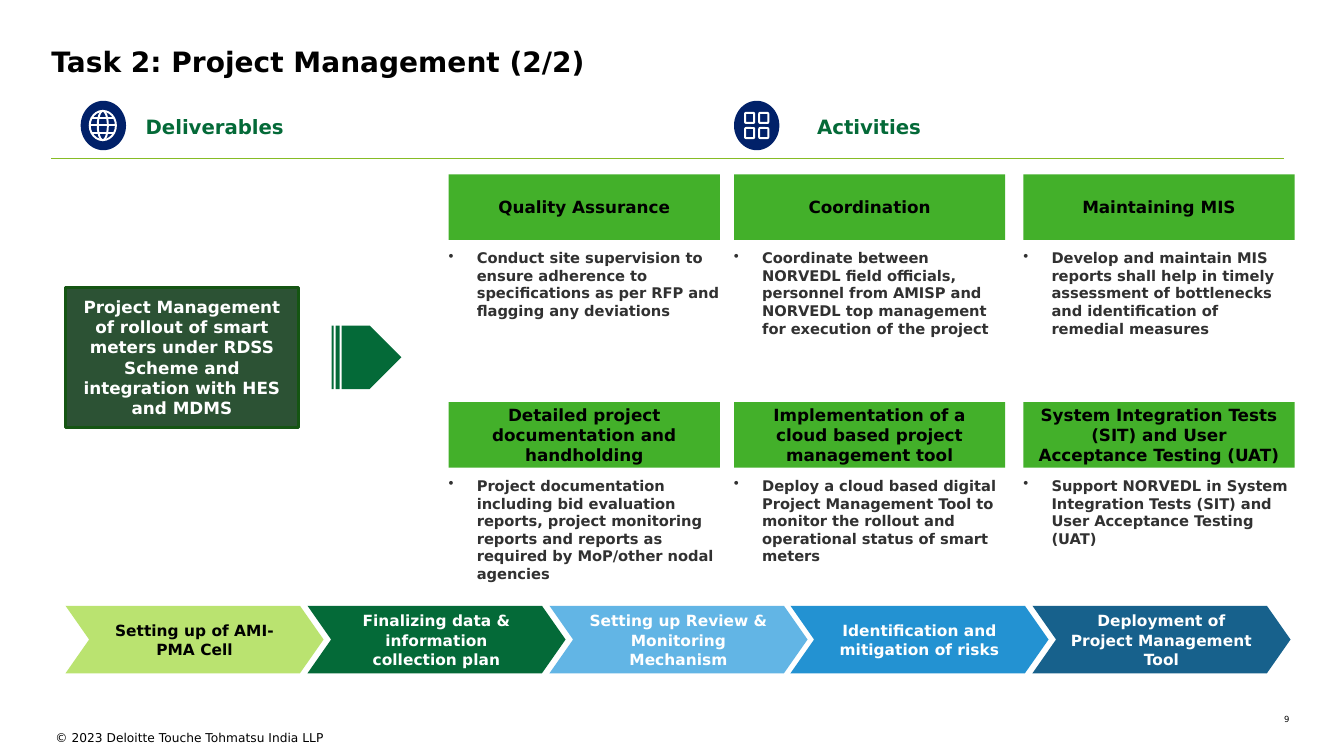
import dataclasses

import pptx
import pptx.dml.color
import pptx.enum.shapes
import pptx.enum.text
import pptx.oxml
import pptx.oxml.ns
import pptx.util
from lxml import etree

PX = 9144
SHAPE = pptx.enum.shapes.MSO_SHAPE
ALIGN = pptx.enum.text.PP_ALIGN
ANCHOR = pptx.enum.text.MSO_ANCHOR


@dataclasses.dataclass(frozen=True)
class Theme:
    """Colours, font and type sizes of the slide."""
    font: str = "DejaVu Sans"
    black: str = "000000"
    white: str = "FFFFFF"
    body: str = "313131"
    heading: str = "046A38"
    rule: str = "86BC25"
    card: str = "43B02A"
    scope: str = "2C5234"
    scope_edge: str = "155513"
    icon: str = "012169"
    title_pt: float = 20
    heading_pt: float = 14.1
    card_pt: float = 12
    body_pt: float = 10.5
    step_pt: float = 11
    footer_pt: float = 8.7
    number_pt: float = 6


THEME = Theme()

ACTIVITIES = [
    [("Quality Assurance",
      "Conduct site supervision to ensure adherence to specifications as per RFP "
      "and flagging any deviations"),
     ("Coordination",
      "Coordinate between NORVEDL field officials, personnel from AMISP and "
      "NORVEDL top management for execution of the project"),
     ("Maintaining MIS",
      "Develop and maintain MIS reports shall help in timely assessment of "
      "bottlenecks and identification of remedial measures")],
    [("Detailed project documentation and handholding",
      "Project documentation including bid evaluation reports, project monitoring "
      "reports and reports as required by MoP/other nodal agencies"),
     ("Implementation of a cloud based project management tool",
      "Deploy a cloud based digital Project Management Tool to monitor the rollout "
      "and operational status of smart meters"),
     ("System Integration Tests (SIT) and User Acceptance Testing (UAT)",
      "Support NORVEDL in System Integration Tests (SIT) and User Acceptance "
      "Testing (UAT)")],
]

STEPS = [
    ("Setting up of AMI-PMA Cell", "BAE370", THEME.black),
    ("Finalizing data & information collection plan", "046A38", THEME.white),
    ("Setting up Review & Monitoring Mechanism", "62B5E5", THEME.white),
    ("Identification and mitigation of risks", "2392D2", THEME.white),
    ("Deployment of Project Management Tool", "17618C", THEME.white),
]


def emu(*lengths):
    """Turn px lengths into EMU."""
    return [pptx.util.Emu(round(length * PX)) for length in lengths]


def rgb(colour):
    """Return the colour object of a hex string."""
    return pptx.dml.color.RGBColor.from_string(colour)


def write(holder, text, size, colour, bold=True, align=ALIGN.LEFT,
          anchor=ANCHOR.TOP, inset=(0, 0), spacing=None, bullet=False):
    """Fill a shape or text box with one styled paragraph."""
    frame = holder.text_frame
    frame.word_wrap = True
    frame.vertical_anchor = anchor
    frame.margin_left, frame.margin_top = emu(*inset)
    frame.margin_right, frame.margin_bottom = emu(*inset)
    frame.text = text
    paragraph = frame.paragraphs[0]
    if bullet:
        properties = paragraph._p.get_or_add_pPr()
        indent = emu(28)[0]
        properties.set("marL", str(indent))
        properties.set("indent", str(-indent))
        mark = etree.SubElement(properties, pptx.oxml.ns.qn("a:buChar"))
        mark.set("char", "•")
    paragraph.alignment = align
    if spacing:
        paragraph.line_spacing = spacing
    font = paragraph.runs[0].font
    font.name, font.size, font.bold = THEME.font, pptx.util.Pt(size), bold
    font.color.rgb = rgb(colour)


def add_label(slide, box, text, size, colour, **style):
    """Add a text box with one styled paragraph."""
    write(slide.shapes.add_textbox(*emu(*box)), text, size, colour, **style)


def add_panel(slide, kind, box, fill=None, edge=None, width=1):
    """Add a flat preset shape with an optional fill and outline."""
    panel = slide.shapes.add_shape(kind, *emu(*box))
    panel.shadow.inherit = False
    if fill:
        panel.fill.solid()
        panel.fill.fore_color.rgb = rgb(fill)
    else:
        panel.fill.background()
    if edge:
        panel.line.color.rgb = rgb(edge)
        panel.line.width = pptx.util.Pt(width)
    else:
        panel.line.fill.background()
    return panel


def add_rule(slide, start, end, colour, width):
    """Add a straight line between two points."""
    rule = slide.shapes.add_connector(
        pptx.enum.shapes.MSO_CONNECTOR.STRAIGHT, *emu(*start, *end))
    rule.line.color.rgb = rgb(colour)
    rule.line.width = pptx.util.Pt(width)
    etree.SubElement(rule._element.spPr, pptx.oxml.ns.qn("a:effectLst"))


def add_globe_icon(slide, box):
    """Draw a white globe on a dark disc."""
    left, top, width, height = box
    middle, equator = left + width // 2, top + height // 2
    add_panel(slide, SHAPE.OVAL, box, THEME.icon)
    for half in (13, 5):
        meridian = (middle - half, equator - 14, 2 * half, 29)
        add_panel(slide, SHAPE.OVAL, meridian, edge=THEME.white, width=1.4)
    for offset, half in ((-7, 11), (0, 13), (8, 11)):
        y = equator + offset
        add_rule(slide, (middle - half, y), (middle + half, y), THEME.white, 1.4)


def add_grid_icon(slide, box):
    """Draw four white tiles on a dark disc."""
    left, top, _, _ = box
    add_panel(slide, SHAPE.OVAL, box, THEME.icon)
    for x in (11, 25):
        for y in (12, 27):
            tile = add_panel(slide, SHAPE.ROUNDED_RECTANGLE,
                             (left + x, top + y, 9, 10), edge=THEME.white, width=1.4)
            tile.adjustments[0] = 0.1


def add_header(slide, box):
    """Place the title, both column headings and the rule below them."""
    left, top, width, height = box
    add_label(slide, (left, top, width, 37), "Task 2: Project Management (2/2)",
              THEME.title_pt, THEME.black)
    add_globe_icon(slide, (left + 29, top + 56, 45, 49))
    add_grid_icon(slide, (left + 677, top + 56, 45, 49))
    for text, x, span in (("Deliverables", 79, 166), ("Activities", 673, 276)):
        add_label(slide, (left + x, top + 61, span, 39), text, THEME.heading_pt,
                  THEME.heading, align=ALIGN.CENTER, anchor=ANCHOR.MIDDLE,
                  inset=(11, 11), spacing=1.06)
    bottom = top + height
    add_rule(slide, (left, bottom), (left + 1222, bottom), THEME.rule, 0.75)


def add_scope(slide, box):
    """Place the deliverable and the arrow that leads to the activities."""
    left, top, width, height = box
    deliverable = add_panel(slide, SHAPE.RECTANGLE, (left, top, 231, height),
                            THEME.scope, THEME.scope_edge, 2)
    write(deliverable, "Project Management of rollout of smart meters under RDSS "
          "Scheme and integration with HES and MDMS", THEME.card_pt, THEME.white,
          align=ALIGN.CENTER, anchor=ANCHOR.MIDDLE, inset=(11, 6))
    arrow = add_panel(slide, SHAPE.STRIPED_RIGHT_ARROW,
                      (left + width - 69, top + 38, 69, 63), THEME.heading)
    arrow.adjustments[0], arrow.adjustments[1] = 1, 0.5


def add_activity(slide, box, heading, detail):
    """Place one activity: a green heading above its bullet."""
    left, top, width, height = box
    banner = add_panel(slide, SHAPE.RECTANGLE, (left, top, width, 65), THEME.card)
    write(banner, heading, THEME.card_pt, THEME.black, align=ALIGN.CENTER,
          anchor=ANCHOR.MIDDLE, inset=(11, 6))
    add_label(slide, (left, top + 74, width + 1, height - 74), detail,
              THEME.body_pt, THEME.body, bullet=True)


def add_activities(slide, box):
    """Lay out the activities in rows and columns."""
    left, top, _, height = box
    for row, activities in enumerate(ACTIVITIES):
        for x, (heading, detail) in zip((0, 283, 570), activities):
            add_activity(slide, (left + x, top + row * 226, 269, height - 226),
                         heading, detail)


def add_steps(slide, box):
    """Spread the chevrons of the process evenly over the box."""
    left, top, width, height = box
    span = 256
    pitch = (width - span) / (len(STEPS) - 1)
    for index, (text, fill, colour) in enumerate(STEPS):
        step = add_panel(slide, SHAPE.CHEVRON,
                         (left + round(index * pitch), top, span, height), fill)
        step.adjustments[0] = 0.35
        write(step, text, THEME.step_pt, colour, align=ALIGN.CENTER,
              anchor=ANCHOR.MIDDLE, inset=(10, 10), spacing=1.06)


def add_footer(slide, box):
    """Place the copyright line and the page number."""
    left, top, width, _ = box
    add_label(slide, (left, top + 17, 586, 22),
              "© 2023 Deloitte Touche Tohmatsu India LLP",
              THEME.footer_pt, THEME.black, bold=False)
    add_label(slide, (left + width - 34, top, 34, 11), "9", THEME.number_pt,
              THEME.black, bold=False, align=ALIGN.RIGHT)


def main():
    """Build the slide and save it."""
    deck = pptx.Presentation()
    deck.slide_width, deck.slide_height = emu(1333, 750)
    slide = deck.slides.add_slide(deck.slide_layouts[6])
    add_header(slide, (51, 44, 1231, 113))
    add_scope(slide, (65, 285, 333, 139))
    add_activities(slide, (445, 173, 839, 406))
    add_steps(slide, (65, 601, 1215, 67))
    add_footer(slide, (55, 708, 1224, 39))
    deck.save("out.pptx")


if __name__ == "__main__":
    main()
